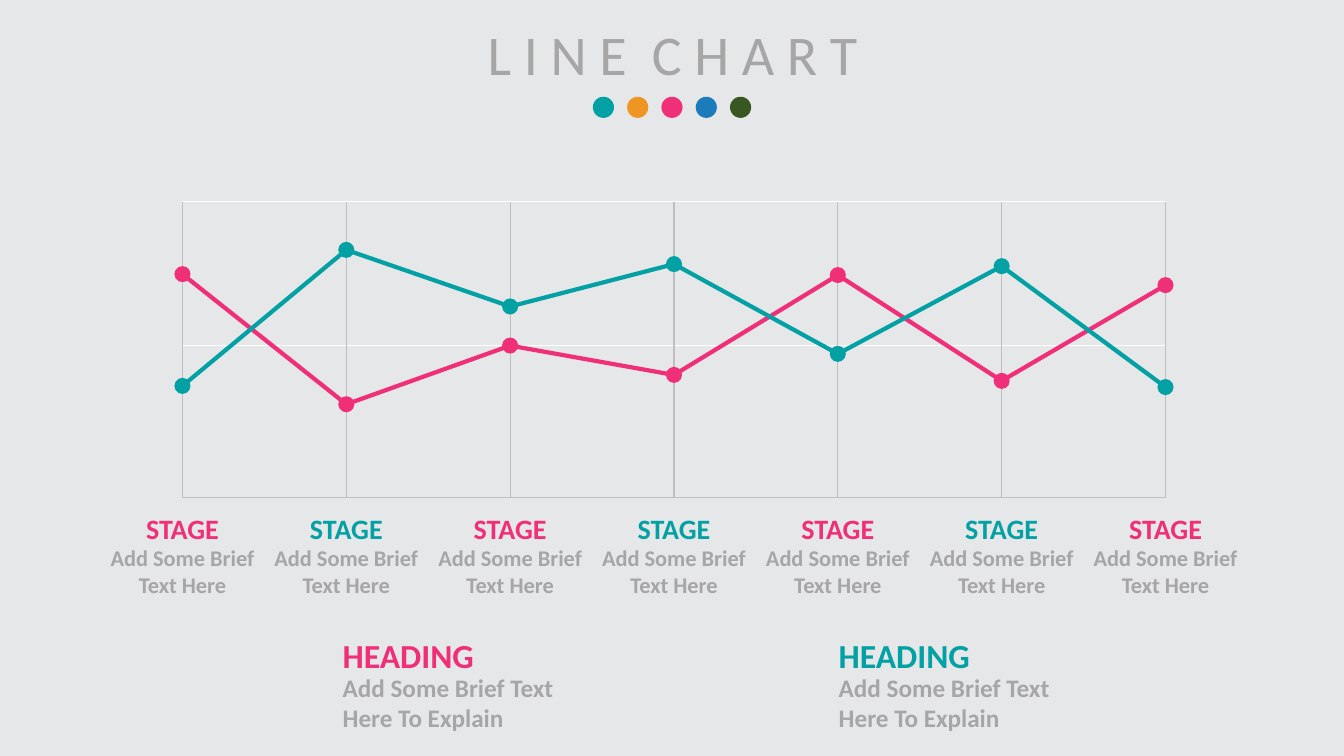
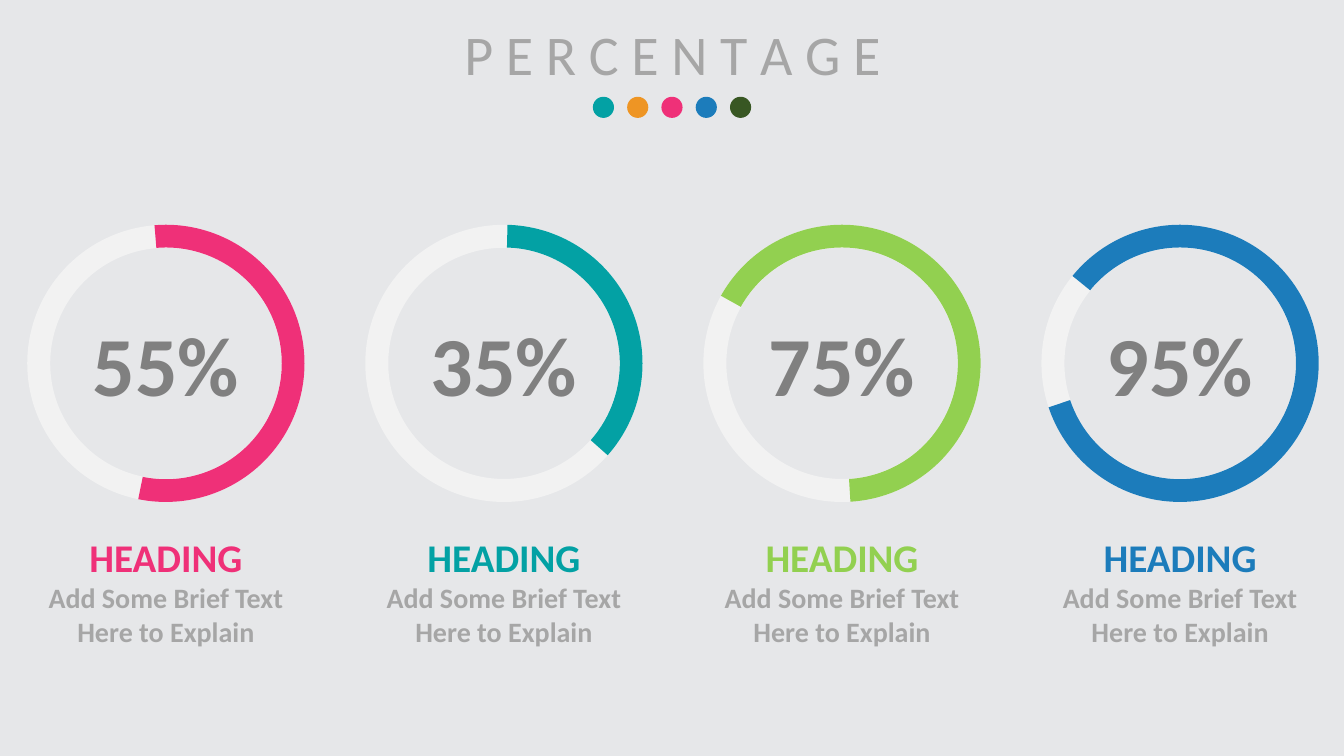
from itertools import pairwise

from lxml import etree
from pptx import Presentation
from pptx.dml.color import RGBColor
from pptx.enum.shapes import MSO_CONNECTOR, MSO_SHAPE
from pptx.enum.text import MSO_ANCHOR, PP_ALIGN
from pptx.oxml.ns import qn
from pptx.util import Inches, Pt

STRAIGHT = MSO_CONNECTOR.STRAIGHT
OVAL, RING, ARC = MSO_SHAPE.OVAL, MSO_SHAPE.DONUT, MSO_SHAPE.BLOCK_ARC
TOP = MSO_ANCHOR.TOP
LEFT, CENTER = PP_ALIGN.LEFT, PP_ALIGN.CENTER

# Shared look
WIDTH, HEIGHT = 13.33, 7.5
FONT = "Calibri"
BACKGROUND = RGBColor(0xE6, 0xE7, 0xE9)
TEAL = RGBColor(0x03, 0xA1, 0xA4)
ORANGE = RGBColor(0xEE, 0x95, 0x24)
PINK = RGBColor(0xEF, 0x30, 0x78)
BLUE = RGBColor(0x1C, 0x7C, 0xBB)
DARK_GREEN = RGBColor(0x38, 0x57, 0x23)
LIME = RGBColor(0x92, 0xD0, 0x50)
TEXT_GRAY = RGBColor(0xA6, 0xA6, 0xA6)
NUMBER_GRAY = RGBColor(0x80, 0x80, 0x80)
GRID_GRAY = RGBColor(0xBF, 0xBF, 0xBF)
RING_GRAY = RGBColor(0xF2, 0xF2, 0xF2)
WHITE = RGBColor(0xFF, 0xFF, 0xFF)
DOT_COLORS = [TEAL, ORANGE, PINK, BLUE, DARK_GREEN]

# Line chart: heights as a percentage of the plot
SERIES = [
    (PINK, [75.5, 31.6, 51.4, 41.5, 75.2, 39.5, 71.8]),
    (TEAL, [37.8, 83.7, 64.6, 78.9, 48.6, 78.2, 37.4]),
]
MIDDLE_LEVEL = 51.4
STAGE_COUNT = 7

# Percentage rings: label, colour, start and end angle of the arc
RINGS = [
    ("55%", PINK, 265.3, 101.5),
    ("35%", TEAL, 271.5, 41.5),
    ("75%", LIME, 209.2, 86.5),
    ("95%", BLUE, 219.1, 161.5),
]
ANGLE_UNIT = 0.6  # adjustment value of one degree


def add_filled(slide, kind, left, top, size, color):
    shape = slide.shapes.add_shape(
        kind, Inches(left), Inches(top), Inches(size), Inches(size))
    shape.shadow.inherit = False
    shape.fill.solid()
    shape.fill.fore_color.rgb = color
    shape.line.fill.background()
    return shape


def add_line(slide, start, end, color, weight=0.75):
    line = slide.shapes.add_connector(
        STRAIGHT, *(Inches(value) for value in (*start, *end)))
    line.line.color.rgb = color
    line.line.width = Pt(weight)
    etree.SubElement(line._element.spPr, qn("a:effectLst"))


def format_paragraph(paragraph, size, color, bold, alignment):
    paragraph.alignment = alignment
    font = paragraph.font
    font.name, font.size, font.bold = FONT, Pt(size), bold
    font.color.rgb = color


def add_text(slide, box, text, size, color, alignment=CENTER):
    frame = slide.shapes.add_textbox(*(Inches(value) for value in box)).text_frame
    frame.word_wrap = True
    paragraph = frame.paragraphs[0]
    paragraph.text = text
    format_paragraph(paragraph, size, color, True, alignment)


def add_titled_slide(presentation, words):
    """Spaced title with the row of coloured dots below it."""
    slide = presentation.slides.add_slide(presentation.slide_layouts[5])
    title = slide.shapes.title
    title.left, title.top = Inches(2.69), Inches(0.14)
    title.width, title.height = Inches(7.96), Inches(0.77)
    frame = title.text_frame
    frame.word_wrap = True
    frame.vertical_anchor = TOP
    paragraph = frame.paragraphs[0]
    format_paragraph(paragraph, 40, TEXT_GRAY, False, CENTER)
    for index, word in enumerate(words):
        if index:  # a wider space between words
            gap = paragraph.add_run()
            gap.text = " "
            gap._r.get_or_add_rPr().set("spc", "900")
        paragraph.add_run().text = " ".join(word)

    size, step = 0.21, 0.34
    first = (WIDTH - size - step * (len(DOT_COLORS) - 1)) / 2
    for index, color in enumerate(DOT_COLORS):
        add_filled(slide, OVAL, first + index * step, 0.96, size, color)
    return slide


def add_line_plot(slide, left, top, width, height):
    right, bottom = left + width, top + height
    columns = [left + width * index / (STAGE_COUNT - 1)
               for index in range(STAGE_COUNT)]

    def level(percent):
        return bottom - height * percent / 100

    # Grid
    for percent, color in ((0, GRID_GRAY), (MIDDLE_LEVEL, WHITE)):
        add_line(slide, (left, level(percent)), (right, level(percent)), color)
    for x in columns:
        add_line(slide, (x, bottom), (x, top), GRID_GRAY)
    add_line(slide, (left, top), (right, top), WHITE)

    # Series lines, then markers on top
    series_points = [(color, [(x, level(value)) for x, value in zip(columns, values)])
                     for color, values in SERIES]
    for color, points in series_points:
        for start, end in pairwise(points):
            add_line(slide, start, end, color, 3)
    marker = 0.16
    for color, points in series_points:
        for x, y in points:
            add_filled(slide, OVAL, x - marker / 2, y - marker / 2, marker, color)

    # Stage labels under the columns
    for index, x in enumerate(columns):
        color = SERIES[index % 2][0]
        add_text(slide, (x - 0.74, bottom + 0.09, 1.48, 0.44), "STAGE", 20, color)
        add_text(slide, (x - 0.905, bottom + 0.41, 1.81, 0.64),
                 "Add Some Brief Text Here", 16, TEXT_GRAY)


def add_legend_note(slide, left, top, color):
    add_text(slide, (left, top, 1.82, 0.5), "HEADING", 24, color, LEFT)
    add_text(slide, (left, top + 0.37, 2.32, 0.71),
             "Add Some Brief Text Here To Explain", 18, TEXT_GRAY, LEFT)


def add_percentage_ring(slide, left, top, size, label, color, start, end):
    ring = add_filled(slide, RING, left, top, size, RING_GRAY)
    ring.adjustments[0] = 0.083
    arc = add_filled(slide, ARC, left, top, size, color)
    arc.adjustments[0] = start * ANGLE_UNIT
    arc.adjustments[1] = end * ANGLE_UNIT
    arc.adjustments[2] = 0.082

    inset = 0.24
    inner_width = size - 2 * inset
    add_text(slide, (left + inset, top + 0.82, inner_width, 1.11),
             label, 60, NUMBER_GRAY)
    add_text(slide, (left + inset, top + size + 0.26, inner_width, 0.57),
             "HEADING", 28, color)
    add_text(slide, (left, top + size + 0.73, size, 0.77),
             "Add Some Brief Text Here to Explain", 20, TEXT_GRAY)


def build_line_chart_slide(presentation):
    slide = add_titled_slide(presentation, ["LINE", "CHART"])
    add_line_plot(slide, 1.81, 2, 9.75, 2.94)
    for left, color in ((3.3, PINK), (8.22, TEAL)):
        add_legend_note(slide, left, 6.25, color)


def build_percentage_slide(presentation):
    slide = add_titled_slide(presentation, ["PERCENTAGE"])
    size, first, step = 2.75, 0.27, 3.353
    for index, ring in enumerate(RINGS):
        add_percentage_ring(slide, first + index * step, 2.23, size, *ring)


def main():
    presentation = Presentation()
    presentation.slide_width, presentation.slide_height = Inches(WIDTH), Inches(HEIGHT)
    background = presentation.slide_master.background.fill
    background.solid()
    background.fore_color.rgb = BACKGROUND
    build_line_chart_slide(presentation)
    build_percentage_slide(presentation)
    presentation.save("out.pptx")


if __name__ == "__main__":
    main()
